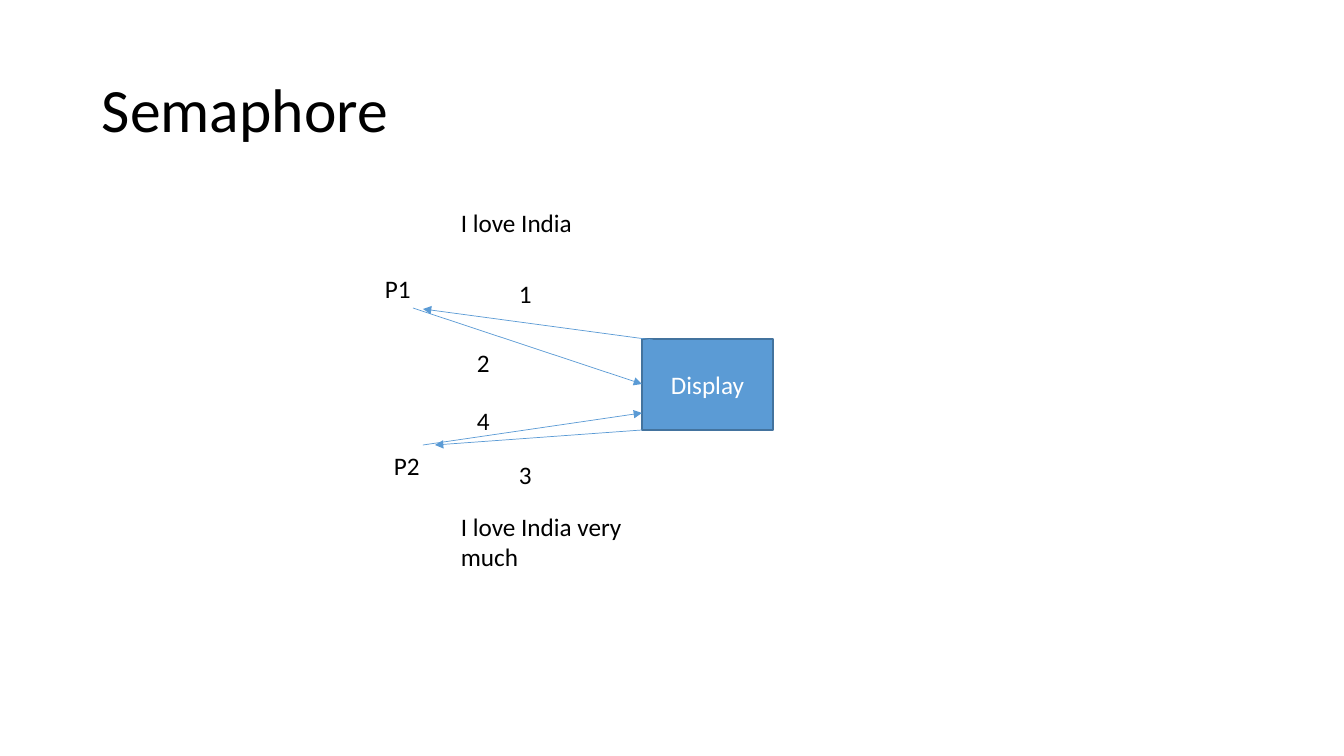
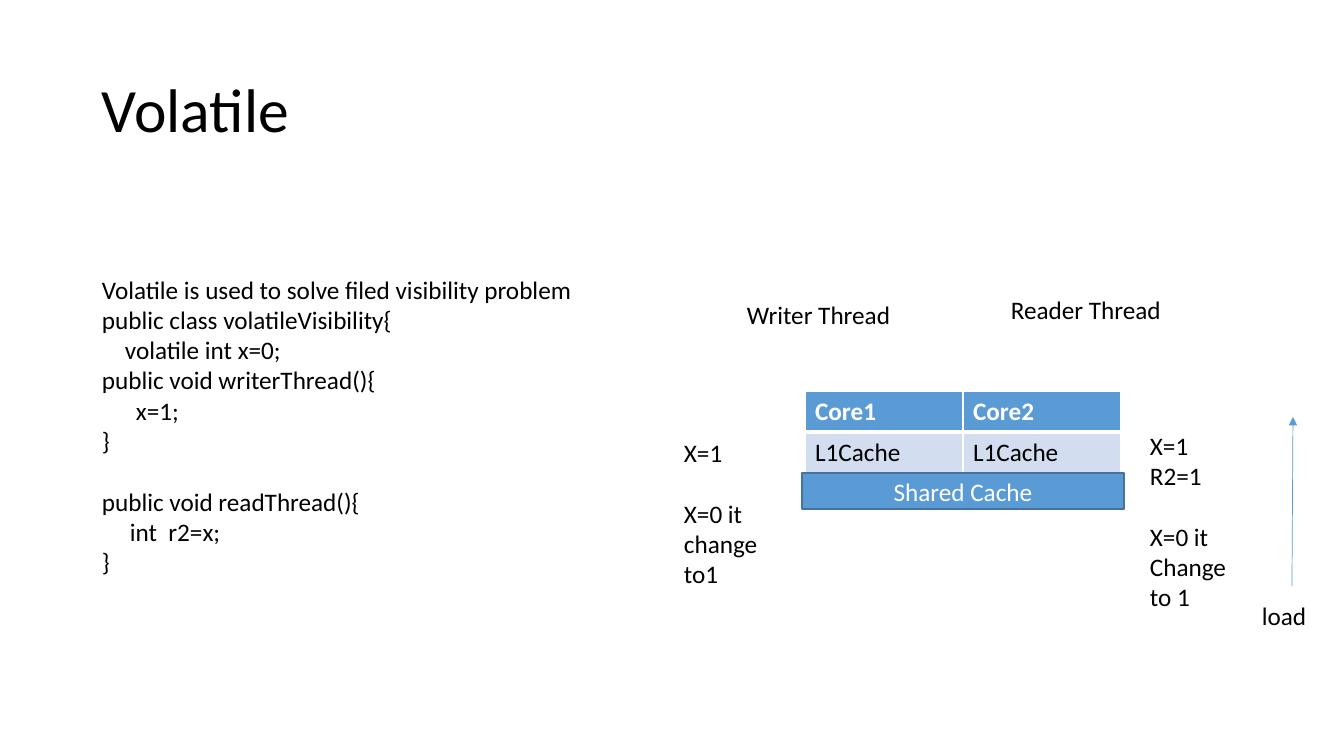
from lxml import etree
from pptx import Presentation
from pptx import util as u
from pptx.dml.color import RGBColor
from pptx.enum import shapes, text
from pptx.oxml import ns

SCALE = 12192000 / 1344
FONT = "Calibri"
BODY_SIZE = 18
LINE_GAP = 22
BLACK = RGBColor(0x00, 0x00, 0x00)
WHITE = RGBColor(0xFF, 0xFF, 0xFF)
BLUE = RGBColor(0x5B, 0x9B, 0xD5)
DARK_BLUE = RGBColor(0x43, 0x73, 0x9E)
PALE_BLUE = RGBColor(0xD2, 0xDE, 0xEF)
LABEL_HEIGHT = 40


def px(length):
    return u.Emu(round(length * SCALE))


def add_child(parent, tag, **attributes):
    return etree.SubElement(parent, ns.qn(tag), attributes)


def style(para, color=BLACK, size=BODY_SIZE, bold=False):
    for span in para.runs:
        span.font.name = FONT
        span.font.size = u.Pt(size)
        span.font.bold = bold
        span.font.color.rgb = color


def add_text(page, left, top, width, height, content, size=BODY_SIZE, gaps=(), indents=None):
    box = page.shapes.add_textbox(px(left), px(top), px(width), px(height))
    frame = box.text_frame
    frame.word_wrap = True
    frame.text = content
    for number, para in enumerate(frame.paragraphs):
        style(para, size=size)
        if number in gaps:
            para.space_before = u.Pt(LINE_GAP)
        if indents and number in indents:
            para._p.get_or_add_pPr().set("marL", str(px(indents[number])))
    return frame


def add_title(page, content):
    frame = add_text(page, 92, 40, 1159, 146, content, size=44)
    frame.vertical_anchor = text.MSO_ANCHOR.MIDDLE
    frame.paragraphs[0].line_spacing = 0.9


def add_block(page, left, top, width, height, content):
    block = page.shapes.add_shape(
        shapes.MSO_SHAPE.RECTANGLE, px(left), px(top), px(width), px(height))
    block.shadow.inherit = False
    block.fill.solid()
    block.fill.fore_color.rgb = BLUE
    block.line.color.rgb = DARK_BLUE
    block.line.width = u.Pt(1)
    frame = block.text_frame
    frame.text = content
    frame.vertical_anchor = text.MSO_ANCHOR.MIDDLE
    frame.paragraphs[0].alignment = text.PP_ALIGN.CENTER
    style(frame.paragraphs[0], WHITE)


def add_arrow(page, *ends):
    arrow = page.shapes.add_connector(shapes.MSO_CONNECTOR.STRAIGHT, *map(px, ends))
    arrow.line.color.rgb = BLUE
    arrow.line.width = u.Pt(0.5)
    add_child(arrow.line._get_or_add_ln(), "a:tailEnd", type="triangle")
    add_child(arrow._element.spPr, "a:effectLst")


def set_borders(cell, bottom):
    properties = cell._tc.get_or_add_tcPr()
    for side, points in (("L", 1), ("R", 1), ("T", 1), ("B", bottom)):
        border = add_child(properties, "a:ln" + side, w=str(u.Pt(points)))
        add_child(add_child(border, "a:solidFill"), "a:srgbClr", val=str(WHITE))


def core_table(page, left, top):
    rows = (("Core1", "Core2"), ("L1Cache", "L1Cache"))
    looks = ((BLUE, WHITE, True, 3), (PALE_BLUE, BLACK, False, 1))
    table = page.shapes.add_table(2, 2, px(left), px(top), px(316), px(82)).table
    for row, (values, look) in enumerate(zip(rows, looks)):
        fill, color, bold, bottom = look
        for column, value in enumerate(values):
            cell = table.cell(row, column)
            set_borders(cell, bottom)
            cell.fill.solid()
            cell.fill.fore_color.rgb = fill
            cell.text = value
            style(cell.text_frame.paragraphs[0], color, bold=bold)


def semaphore_diagram(page, left, top):
    add_block(page, left + 267, top + 137, 131, 91, "Display")
    arrows = ((38, 106, 267, 182), (278, 138, 48, 107),
              (48, 243, 267, 211), (267, 228, 60, 243))
    for x1, y1, x2, y2 in arrows:
        add_arrow(page, left + x1, top + y1, left + x2, top + y2)
    labels = (("P1", 0, 66, 75), ("P2", 9, 243, 79),
              ("1", 134, 71, 75), ("2", 92, 140, 48),
              ("3", 134, 252, 64), ("4", 92, 198, 48),
              ("I love India", 76, 0, 288))
    for content, x, y, width in labels:
        add_text(page, left + x, top + y, width, LABEL_HEIGHT, content)
    add_text(page, left + 76, top + 304, 212, 72, "I love India very much")


def code_listing(page, left, top, width, height):
    lines = ("Volatile is used to solve filed visibility problem",
             "public class volatileVisibility{",
             "volatile int x=0;",
             "public void writerThread(){",
             "x=1;",
             "}",
             "public void readThread(){",
             "int  r2=x;",
             "}")
    add_text(page, left, top, width, height, "\n".join(lines),
             gaps=(6,), indents={2: 23, 4: 34, 7: 28})


def cache_diagram(page, left, top):
    core_table(page, left + 131, top + 102)
    add_block(page, left + 128, top + 184, 322, 36, "Shared Cache")
    labels = (("Writer Thread", 63, 5, 180), ("Reader Thread", 327, 0, 180),
              ("load", 578, 306, 92))
    for content, x, y, width in labels:
        add_text(page, left + x, top + y, width, LABEL_HEIGHT, content)
    add_text(page, left, top + 143, 119, 163, "X=1\nX=0 it change to1", gaps=(1,))
    add_text(page, left + 466, top + 136, 111, 194,
             "X=1\nR2=1\nX=0 it\nChange to 1", gaps=(2,))
    add_arrow(page, left + 618, top + 297, left + 619, top + 128)


def add_page(deck, title):
    page = deck.slides.add_slide(deck.slide_layouts[6])
    add_title(page, title)
    return page


def semaphore_page(deck):
    page = add_page(deck, "Semaphore")
    semaphore_diagram(page, 375, 202)


def volatile_page(deck):
    page = add_page(deck, "Volatile")
    code_listing(page, 92, 269, 526, 346)
    cache_diagram(page, 674, 289)


deck = Presentation()
deck.slide_width = px(1344)
deck.slide_height = px(756)
semaphore_page(deck)
volatile_page(deck)
deck.save("out.pptx")
